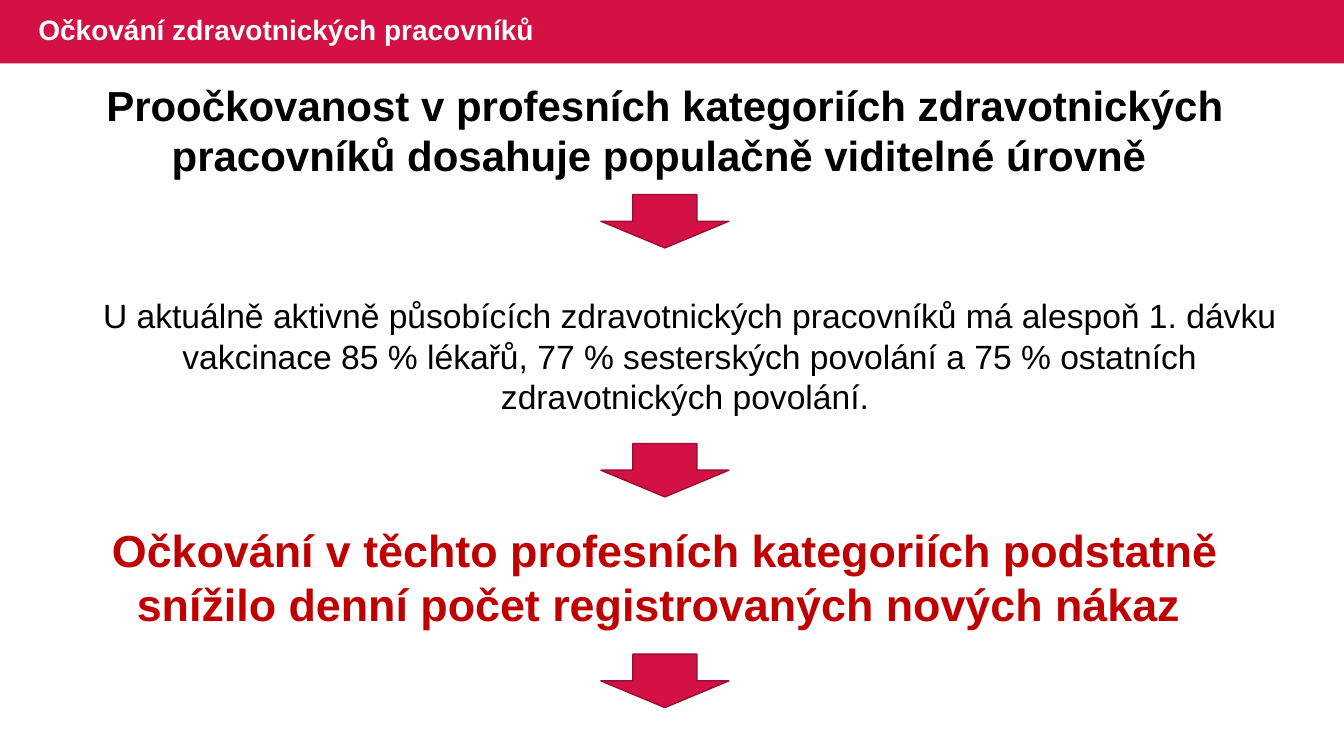
"""Build a slide on the vaccination of healthcare workers."""
from dataclasses import dataclass

from pptx import Presentation
from pptx.dml.color import RGBColor
from pptx.enum import shapes, text
from pptx.util import Inches, Pt

COLOURS = {
    "band": "D31145",
    "arrow_line": "9C0D33",
    "title": "FFFFFF",
    "body": "000000",
    "conclusion": "C00000",
}
FONT = "Arial"
SLIDE_WIDTH, SLIDE_HEIGHT = 13.33, 7.5
BAND_HEIGHT = 0.63
ARROW_LEFT, ARROW_WIDTH, ARROW_HEIGHT = 5.96, 1.27, 0.53


@dataclass(frozen=True)
class Statement:
    """A centred statement with the arrow that follows it."""

    wording: str
    left: float
    top: float
    width: float
    height: float
    size: int
    colour: str
    bold: bool
    arrow_top: float


STATEMENTS = [
    Statement(
        "Proočkovanost v profesních kategoriích zdravotnických pracovníků "
        "dosahuje populačně viditelné úrovně ",
        0.48, 0.74, 12.24, 1.11, 30, "body", True, 1.93,
    ),
    Statement(
        "U aktuálně aktivně působících zdravotnických pracovníků má alespoň "
        "1. dávku vakcinace 85 % lékařů, 77 % sesterských povolání a 75 % "
        "ostatních zdravotnických povolání. ",
        0.77, 2.88, 12.14, 1.31, 24, "body", False, 4.4,
    ),
    Statement(
        "Očkování v těchto profesních kategoriích podstatně snížilo denní "
        "počet registrovaných nových nákaz ",
        0.48, 5.14, 12.24, 1.18, 32, "conclusion", True, 6.49,
    ),
]


def colour_of(name: str) -> RGBColor:
    """Return the named colour."""
    return RGBColor.from_string(COLOURS[name])


def write(box, wording: str, size: int, colour: str, bold: bool, alignment) -> None:
    """Put one formatted paragraph into a box."""
    frame = box.text_frame
    frame.text = wording
    frame.word_wrap = True
    paragraph = frame.paragraphs[0]
    paragraph.alignment = alignment
    for span in paragraph.runs:
        span.font.name = FONT
        span.font.size = Pt(size)
        span.font.bold = bold
        span.font.color.rgb = colour_of(colour)


def add_filled(page, kind, left: float, top: float, width: float, height: float):
    """Add a red shape without shadow or outline."""
    shape = page.shapes.add_shape(
        kind, Inches(left), Inches(top), Inches(width), Inches(height)
    )
    shape.shadow.inherit = False
    shape.fill.solid()
    shape.fill.fore_color.rgb = colour_of("band")
    shape.line.fill.background()
    return shape


def add_heading(page) -> None:
    """Format the title and set the red band behind it."""
    title = page.shapes.title
    title.left, title.top = Inches(0.28), Inches(0)
    title.width, title.height = Inches(8.13), Inches(BAND_HEIGHT)
    write(title, "Očkování zdravotnických pracovníků", 20, "title", True,
          text.PP_ALIGN.LEFT)
    title.text_frame.vertical_anchor = text.MSO_ANCHOR.MIDDLE
    title.text_frame.auto_size = text.MSO_AUTO_SIZE.NONE
    title.text_frame.paragraphs[0].line_spacing = 0.9
    band = add_filled(page, shapes.MSO_SHAPE.RECTANGLE, 0, 0, SLIDE_WIDTH, BAND_HEIGHT)
    title.element.addprevious(band.element)


def add_statement(page, statement: Statement) -> None:
    """Add a statement and its arrow."""
    box = page.shapes.add_textbox(
        Inches(statement.left), Inches(statement.top),
        Inches(statement.width), Inches(statement.height),
    )
    write(box, statement.wording, statement.size, statement.colour,
          statement.bold, text.PP_ALIGN.CENTER)
    box.text_frame.auto_size = text.MSO_AUTO_SIZE.SHAPE_TO_FIT_TEXT
    arrow = add_filled(page, shapes.MSO_SHAPE.DOWN_ARROW, ARROW_LEFT,
                       statement.arrow_top, ARROW_WIDTH, ARROW_HEIGHT)
    arrow.line.color.rgb = colour_of("arrow_line")
    arrow.line.width = Pt(1)


def main() -> None:
    """Build and save the deck."""
    deck = Presentation()
    deck.slide_width, deck.slide_height = Inches(SLIDE_WIDTH), Inches(SLIDE_HEIGHT)
    page = deck.slides.add_slide(deck.slide_layouts.get_by_name("Title Only"))
    add_heading(page)
    for statement in STATEMENTS:
        add_statement(page, statement)
    deck.save("out.pptx")


if __name__ == "__main__":
    main()
